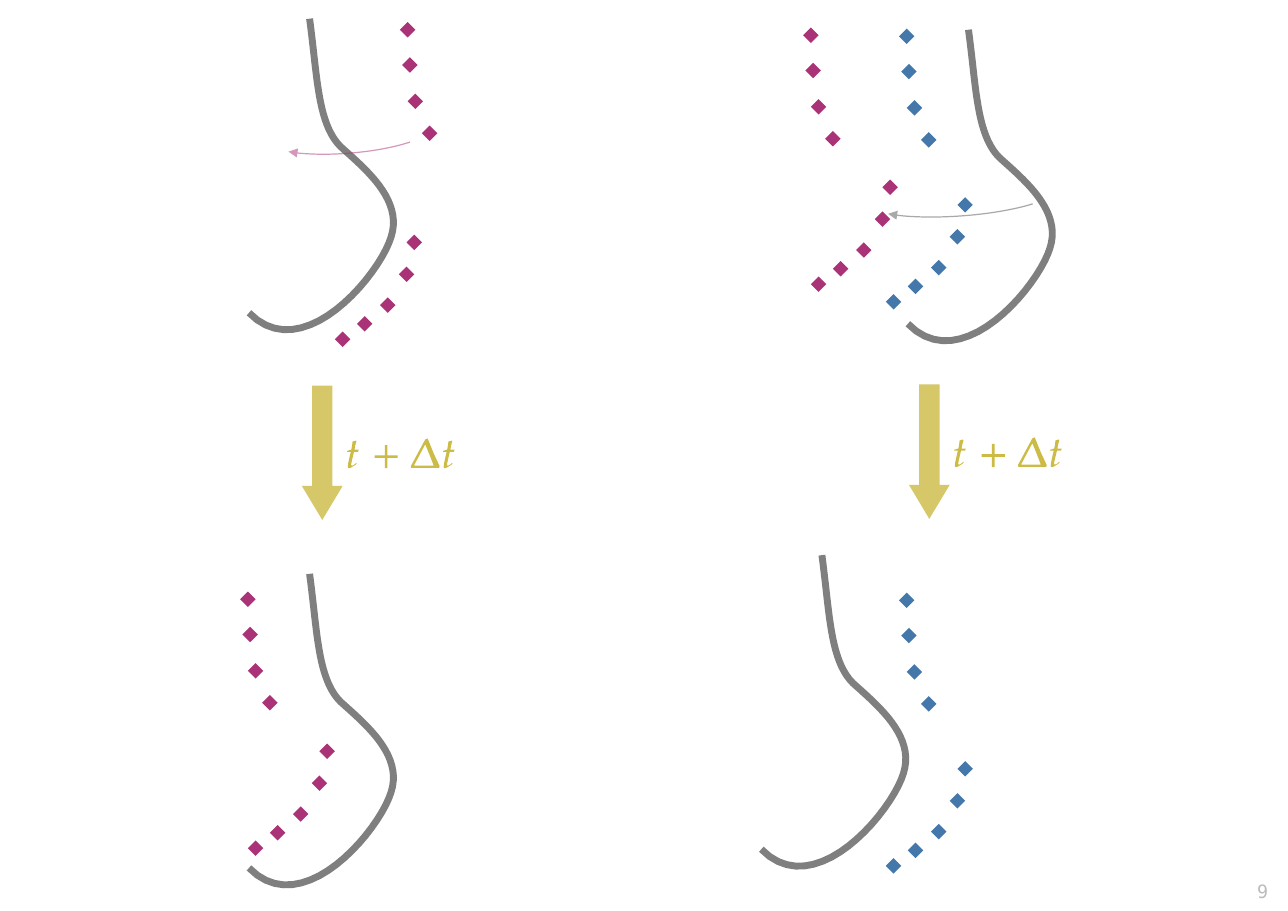
from dataclasses import dataclass

from pptx import Presentation
from pptx.dml.color import RGBColor
from pptx.enum.shapes import MSO_SHAPE
from pptx.enum.text import PP_ALIGN
from pptx.oxml.ns import qn
from pptx.util import Inches, Pt
from lxml import etree

ARC = MSO_SHAPE.ARC
DIAMOND = MSO_SHAPE.DIAMOND
DOWN_ARROW = MSO_SHAPE.DOWN_ARROW
RIGHT = PP_ALIGN.RIGHT


@dataclass(frozen=True)
class Theme:
    """Colours, fonts and sizes used on the slide."""
    wall: RGBColor = RGBColor(0x55, 0x55, 0x55)
    magenta: RGBColor = RGBColor(0xAA, 0x33, 0x77)
    blue: RGBColor = RGBColor(0x44, 0x77, 0xAA)
    gold: RGBColor = RGBColor(0xCC, 0xBB, 0x44)
    page_grey: RGBColor = RGBColor(0xBB, 0xBB, 0xBB)
    page_font: str = "DejaVu Sans Mono"
    page_size: Pt = Pt(12)
    wall_width: Pt = Pt(4.5)
    motion_width: Pt = Pt(0.79)


THEME = Theme()
MARKER_SIZE = 0.14
CURVE_STEPS = 20
WALL_START = (0.55, 0)
WALL_BEZIERS = [
    ((0.62, 0.51), (0.62, 0.95), (0.83, 1.16)),
    ((1.05, 1.36), (1.40, 1.64), (1.29, 1.98)),
    ((1.19, 2.32), (0.49, 3.17), (0, 2.67)),
]
UPPER_MARKERS = [(0, 0), (0.02, 0.32), (0.07, 0.65), (0.2, 0.94)]
LOWER_MARKERS = [(0, 0), (-0.07, 0.29), (-0.24, 0.57), (-0.45, 0.74), (-0.65, 0.88)]
NEAR_GAP = (0.06, 1.93)
MIDDLE_GAP = (0.53, 1.53)
FAR_GAP = (0.72, 1.38)

GLYPH_UNITS = 1000
LETTER_T = [[(87, 208), (84, 202), (66, 218), (52, 226), (42, 228), (37, 220),
             (40, 200), (58, 122), (63, 102), (100, 102), (106, 82), (67, 82),
             (76, 40), (85, 8), (80, 0), (50, 9), (46, 45), (39, 82), (3, 93),
             (0, 102), (34, 102), (24, 145), (11, 205), (7, 238), (10, 248),
             (18, 251), (40, 243), (80, 217)]]
PLUS = [[(210, 117), (210, 93), (117, 93), (117, 0), (93, 0), (93, 93), (0, 93),
         (0, 117), (93, 117), (93, 210), (117, 210), (117, 117)]]
DELTA = [[(130, 10), (0, 251), (3, 268), (257, 268), (260, 251), (208, 138), (152, 0)],
         [(208, 248), (32, 248), (30, 242), (128, 58), (132, 58), (172, 155)]]
TIME_STEP = [(LETTER_T, 0, 0), (PLUS, 0.25, 0.04), (DELTA, 0.58, -0.02),
             (LETTER_T, 0.87, 0)]


def set_opacity(parent, percent):
    """Make the solid colour inside an XML element partly transparent."""
    colour = parent.find(qn("a:solidFill")).find(qn("a:srgbClr"))
    etree.SubElement(colour, qn("a:alpha"), val=str(percent * 1000))


def style_line(shape, colour, width, opacity):
    """Give an unfilled shape a translucent outline and return its XML."""
    shape.shadow.inherit = False
    shape.fill.background()
    shape.line.color.rgb = colour
    shape.line.width = width
    outline = shape.element.spPr.find(qn("a:ln"))
    set_opacity(outline, opacity)
    return outline


def style_fill(shape, colour):
    """Give a shape a solid fill and no outline."""
    shape.shadow.inherit = False
    shape.fill.solid()
    shape.fill.fore_color.rgb = colour
    shape.line.fill.background()


def wall_points():
    """Return the points along the wall's Bézier curve."""
    start = WALL_START
    points = [start]
    for bezier in WALL_BEZIERS:
        for step in range(1, CURVE_STEPS + 1):
            t = step / CURVE_STEPS
            weights = ((1 - t) ** 3, 3 * t * (1 - t) ** 2, 3 * t * t * (1 - t), t ** 3)
            controls = (start, *bezier)
            points.append(tuple(sum(w * c[axis] for w, c in zip(weights, controls))
                                for axis in (0, 1)))
        start = bezier[-1]
    return points


def add_outline(shapes, contours, left, top, units=1, close=True):
    """Draw one freeform from contours of points measured from left and top."""
    placed = [[(Inches(left + x / units), Inches(top + y / units)) for x, y in contour]
              for contour in contours]
    builder = shapes.build_freeform(*placed[0][0])
    builder.add_line_segments(placed[0][1:], close=close)
    for first, *rest in placed[1:]:
        builder.move_to(*first)
        builder.add_line_segments(rest, close=close)
    return builder.convert_to_shape()


def add_markers(shapes, left, top, gap, colour):
    """Draw the upper and lower rows of diamonds of one front."""
    lower = [(gap[0] + x, gap[1] + y) for x, y in LOWER_MARKERS]
    for x, y in UPPER_MARKERS + lower:
        marker = shapes.add_shape(DIAMOND, Inches(left + x), Inches(top + y),
                                  Inches(MARKER_SIZE), Inches(MARKER_SIZE))
        style_fill(marker, colour)


def add_state(slide, left, top, fronts):
    """Group a wall with the marker fronts around it."""
    shapes = slide.shapes.add_group_shape().shapes
    wall = add_outline(shapes, [wall_points()], left, top, close=False)
    style_line(wall, THEME.wall, THEME.wall_width, 75)
    for front in fronts:
        add_markers(shapes, *front)


def add_page_number(slide, number):
    """Write the page number in the lower right corner."""
    label = slide.shapes.add_textbox(Inches(10.61), Inches(7.94), Inches(1), Inches(0.29))
    label.text_frame.word_wrap = True
    line = label.text_frame.paragraphs[0]
    line.alignment = RIGHT
    run = line.add_run()
    run.text = number
    run.font.name = THEME.page_font
    run.font.size = THEME.page_size
    run.font.color.rgb = THEME.page_grey


def add_time_step(slide, left, top, formula_left):
    """Draw the down arrow and its time-step formula."""
    arrow = slide.shapes.add_shape(DOWN_ARROW, Inches(left), Inches(top),
                                   Inches(0.37), Inches(1.22))
    arrow.adjustments[0] = 0.5
    arrow.adjustments[1] = 0.833
    style_fill(arrow, THEME.gold)
    set_opacity(arrow.element.spPr, 80)
    formula = slide.shapes.add_group_shape().shapes
    for contours, x, y in TIME_STEP:
        symbol = add_outline(formula, contours, formula_left + x, top + 0.5 + y, GLYPH_UNITS)
        style_fill(symbol, THEME.gold)


def add_motion(slide, box, rotation, angles, colour):
    """Draw a thin curved arrow that shows the motion."""
    motion = slide.shapes.add_shape(ARC, *map(Inches, box))
    motion.rotation = rotation
    motion.adjustments[0], motion.adjustments[1] = angles
    outline = style_line(motion, colour, THEME.motion_width, 50)
    etree.SubElement(outline, qn("a:tailEnd"), type="triangle")


def main():
    """Build the slide and save it."""
    deck = Presentation()
    deck.slide_width = Inches(11.69)
    deck.slide_height = Inches(8.27)
    slide = deck.slides.add_slide(deck.slide_layouts[6])

    add_page_number(slide, "9")
    add_state(slide, 2.26, 0.17, [(3.63, 0.2, NEAR_GAP, THEME.magenta)])
    add_state(slide, 2.26, 5.21, [(2.18, 5.37, FAR_GAP, THEME.magenta)])
    add_time_step(slide, 2.74, 3.5, 3.15)
    add_state(slide, 8.24, 0.27, [(8.16, 0.26, MIDDLE_GAP, THEME.blue),
                                  (7.29, 0.25, FAR_GAP, THEME.magenta)])
    add_state(slide, 6.91, 5.04, [(8.16, 5.38, MIDDLE_GAP, THEME.blue)])
    add_time_step(slide, 8.25, 3.49, 8.66)
    add_motion(slide, (2.41, 1.02, 1.53, 0.37), 355.1, (8.25, 100.64), THEME.magenta)
    add_motion(slide, (7.86, 1.59, 1.73, 0.37), 355.7, (6.57, 102.15), THEME.wall)

    deck.save("out.pptx")


if __name__ == "__main__":
    main()
